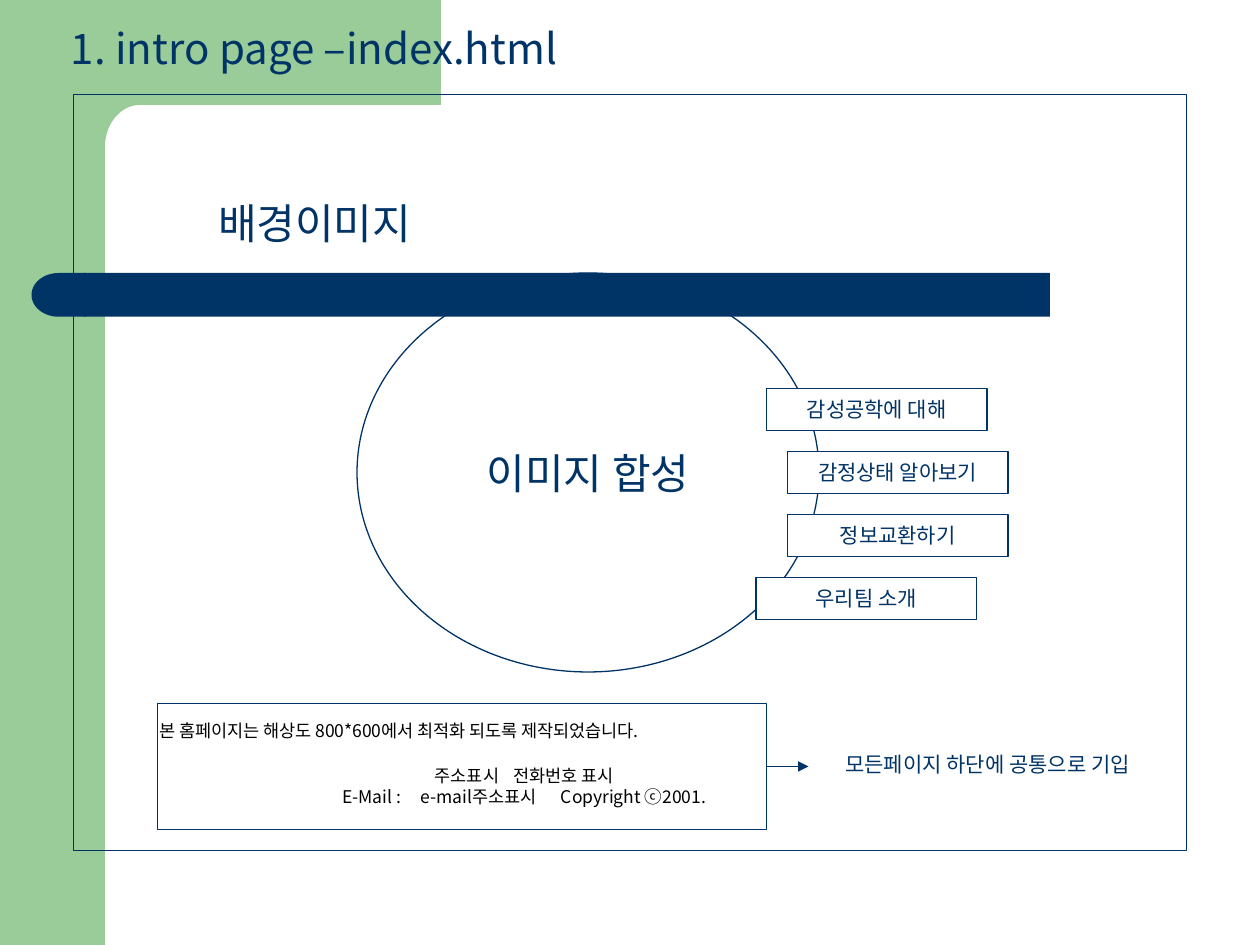
import math

import lxml.etree
import pptx
import pptx.dml.color
import pptx.enum.shapes
import pptx.enum.text
import pptx.oxml.ns
import pptx.util

Pt = pptx.util.Pt
Kind = pptx.enum.shapes.MSO_SHAPE
Align = pptx.enum.text.PP_ALIGN
Anchor = pptx.enum.text.MSO_ANCHOR
qn = pptx.oxml.ns.qn
FONT = "Noto Sans CJK KR"
NAVY, GREEN, WHITE, BLACK = "003366", "99CC99", "FFFFFF", "010000"


def tint(color, value):
    """Set a colour format from a hex string."""
    color.rgb = pptx.dml.color.RGBColor.from_string(value)


def paint(shape, fill=None, line=None):
    """Give a shape its fill and outline, without a shadow."""
    shape.shadow.inherit = False
    if fill:
        shape.fill.solid()
        tint(shape.fill.fore_color, fill)
    else:
        shape.fill.background()
    if line:
        tint(shape.line.color, line)
        shape.line.width = Pt(0.75)
    else:
        shape.line.fill.background()


def block(slide, kind, box, fill=None, line=None):
    """Add a preset shape in a box of points."""
    shape = slide.shapes.add_shape(kind, *map(Pt, box))
    paint(shape, fill, line)
    return shape


def write(shape, lines, size, color=NAVY, align=Align.LEFT, wrap=False):
    """Fill a shape with lines of text in one style."""
    frame = shape.text_frame
    frame.word_wrap = wrap
    frame.text = "\n".join(lines)
    for para in frame.paragraphs:
        para.alignment = align
        para.font.name = FONT
        para.font.size = Pt(size)
        tint(para.font.color, color)
        asian = lxml.etree.SubElement(para._p.pPr.find(qn("a:defRPr")), qn("a:ea"))
        asian.set("typeface", FONT)
    return frame


def label(slide, box, lines, size, color=NAVY, wrap=False):
    """Add a text box in a box of points."""
    return write(slide.shapes.add_textbox(*map(Pt, box)), lines, size, color, wrap=wrap)


def stops(para, places):
    """Set left tab stops, in points, on a paragraph."""
    tabs = lxml.etree.Element(qn("a:tabLst"))
    for place in places:
        lxml.etree.SubElement(tabs, qn("a:tab"), pos=str(Pt(place)), algn="l")
    para._p.pPr.insert(0, tabs)


def backdrop(slide, left, top, width, height):
    """Draw the green side band, its rounded corner and the navy bar."""
    edge = 60
    block(slide, Kind.RECTANGLE, (left, top, edge, height), GREEN)
    arc = []
    for step in range(25):
        turn = math.radians(90 * step / 24)
        arc.append((left + 80 - 20 * math.sin(turn), top + 84 - 24 * math.cos(turn)))
    points = [(left + 252, top), (left + 252, top + edge), *arc,
              (left + 36, top + 84), (left + 36, top)]
    first, *rest = [(Pt(x), Pt(y)) for x, y in points]
    path = slide.shapes.build_freeform(*first)
    path.add_line_segments(rest, close=True)
    paint(path.convert_to_shape(), GREEN)
    block(slide, Kind.RECTANGLE, (left + 48, top + 156, 552, 25), NAVY)
    cap = block(slide, Kind.FLOWCHART_DELAY, (left + 18, top + 156, 31, 25), NAVY)
    cap.rotation = 180


def menu(slide, left, top, width, height):
    """Draw the image circle with its menu buttons down the right side."""
    circle = block(slide, Kind.OVAL, (left, top, width, height), line=NAVY)
    write(circle, ["이미지 합성"], 24, align=Align.CENTER)
    items = [("감성공학에 대해", 234), ("감정상태 알아보기", 246),
             ("정보교환하기", 246), ("우리팀 소개", 228)]
    for row, (name, shift) in enumerate(items):
        box = (left + shift, top + 66 + 36 * row, 126, 24)
        write(block(slide, Kind.RECTANGLE, box, WHITE, NAVY), [name], 12, align=Align.CENTER)


def footer(slide, left, top, width, height):
    """Draw the footer box with its notice, contact lines and side remark."""
    notice = "본 홈페이지는 해상도 800*600에서 최적화 되도록 제작되었습니다."
    frame = label(slide, (left - 6, top + 6, 527, 19.5), [notice], 10, BLACK, True)
    frame.vertical_anchor = Anchor.MIDDLE
    lines = ["\t주소표시\t전화번호 표시", "E-Mail :\te-mail주소표시\tCopyright ⓒ2001."]
    frame = label(slide, (left + 105.5, top + 31.5, 240, 31.5), lines, 10, BLACK, True)
    frame.margin_left = 0
    frame.vertical_anchor = Anchor.MIDDLE
    for para, places in zip(frame.paragraphs, [(53, 98), (45, 125)]):
        stops(para, places)
    block(slide, Kind.RECTANGLE, (left, top, width, height), line=NAVY)
    right, mid = left + width, top + height / 2
    ends = map(Pt, (right, mid, right + 24, mid))
    arrow = slide.shapes.add_connector(pptx.enum.shapes.MSO_CONNECTOR.STRAIGHT, *ends)
    tint(arrow.line.color, NAVY)
    arrow.line.width = Pt(0.75)
    lxml.etree.SubElement(arrow.line._get_or_add_ln(), qn("a:tailEnd"), type="triangle")
    lxml.etree.SubElement(arrow._element.spPr, qn("a:effectLst"))
    label(slide, (right + 38, mid - 12, 184, 21.5), ["모든페이지 하단에 공통으로 기입"], 12, wrap=True)


def main():
    """Build the intro page slide and save it."""
    deck = pptx.Presentation()
    deck.slide_width, deck.slide_height = Pt(720), Pt(540)
    slide = deck.slides.add_slide(deck.slide_layouts[6])
    backdrop(slide, 0, 0, 720, 540)
    block(slide, Kind.RECTANGLE, (42, 54, 636, 432), line=NAVY)
    label(slide, (33.5, 9.5, 304, 36), ["1. intro page –index.html"], 24, wrap=True)
    menu(slide, 204, 156, 264, 228)
    label(slide, (117.5, 109.5, 132, 36), ["배경이미지"], 24, wrap=True)
    footer(slide, 90, 402, 348, 72)
    deck.save("out.pptx")


if __name__ == "__main__":
    main()
